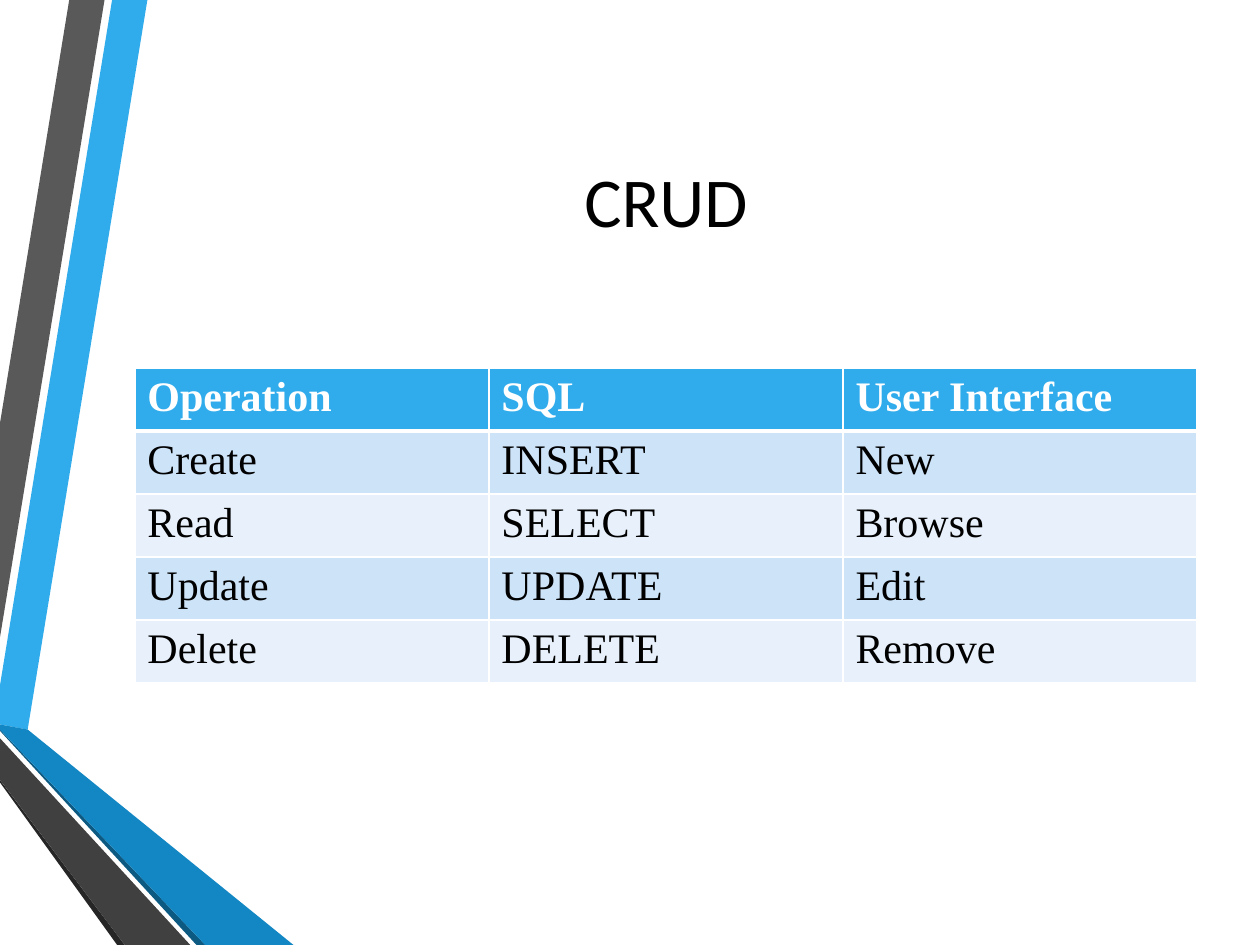
import pptx
import pptx.util
import pptx.dml.color
import pptx.enum.text
import pptx.oxml.ns
import lxml.etree

Inches = pptx.util.Inches
Pt = pptx.util.Pt

COLORS = {
    "white": "FFFFFF", "black": "000000", "sky": "30ACEC", "gray": "595959",
    "charcoal": "262626", "navy": "0C5A82", "blue": "1287C3", "slate": "404040",
    "band_dark": "CDE3F8", "band_light": "E8F1FB",
}

RIBBONS = [
    ("sky", [(0, 5.44), (0, 5.75), (0.22, 5.79), (1.17, 0), (0.89, 0)]),
    ("gray", [(0.83, 0), (0.55, 0), (0, 3.36), (0, 5.06)]),
    ("charcoal", [(0, 6.19), (0, 6.21), (0.93, 7.5), (0.99, 7.5)]),
    ("navy", [(0, 5.79), (0, 5.8), (1.56, 7.5), (1.63, 7.5)]),
    ("blue", [(0, 5.79), (1.63, 7.5), (2.33, 7.5), (0.22, 5.79), (0, 5.75)]),
    ("slate", [(0, 6.19), (0.99, 7.5), (1.51, 7.5), (0, 5.86)]),
]

OPERATIONS = [
    ("Operation", "SQL", "User Interface"),
    ("Create", "INSERT", "New"),
    ("Read", "SELECT", "Browse"),
    ("Update", "UPDATE", "Edit"),
    ("Delete", "DELETE", "Remove"),
]


class SlideBuilder:
    """Hold the slide style and draw each kind of element."""

    def __init__(self, slide, title_font, table_font):
        self.slide = slide
        self.title_font = title_font
        self.table_font = table_font

    def color(self, name):
        return pptx.dml.color.RGBColor.from_string(COLORS[name])

    def fill(self, target, name):
        target.fill.solid()
        target.fill.fore_color.rgb = self.color(name)

    def run(self, paragraph, text, font, size, color, bold=False):
        run = paragraph.add_run()
        run.text = text
        run.font.name = font
        run.font.size = Pt(size)
        run.font.bold = bold
        run.font.color.rgb = self.color(color)

    def ribbon(self, color, points):
        start, *rest = [(Inches(x), Inches(y)) for x, y in points]
        builder = self.slide.shapes.build_freeform(*start)
        builder.add_line_segments(rest, close=True)
        ribbon = builder.convert_to_shape()
        ribbon.shadow.inherit = False
        self.fill(ribbon, color)
        ribbon.line.fill.background()

    def title(self, text, left, top, width, height):
        box = self.slide.shapes.add_textbox(
            Inches(left), Inches(top), Inches(width), Inches(height))
        frame = box.text_frame
        frame.word_wrap = True
        frame.vertical_anchor = pptx.enum.text.MSO_ANCHOR.MIDDLE
        paragraph = frame.paragraphs[0]
        paragraph.alignment = pptx.enum.text.PP_ALIGN.CENTER
        self.run(paragraph, text, self.title_font, 40, "black")

    def borders(self, cell, **widths):
        properties = cell._tc.get_or_add_tcPr()
        qn = pptx.oxml.ns.qn
        for side in "LRTB":
            line = lxml.etree.SubElement(
                properties, qn(f"a:ln{side}"), w=str(Pt(widths.get(side, 1))))
            solid = lxml.etree.SubElement(line, qn("a:solidFill"))
            lxml.etree.SubElement(solid, qn("a:srgbClr"), val=COLORS["white"])

    def table(self, rows, left, top, width, height):
        table = self.slide.shapes.add_table(
            len(rows), len(rows[0]), Inches(left), Inches(top),
            Inches(width), Inches(height)).table
        for r, row in enumerate(rows):
            header = r == 0
            band = "sky" if header else "band_dark" if r % 2 else "band_light"
            for c, text in enumerate(row):
                cell = table.cell(r, c)
                self.borders(cell, T=3 if r == 1 else 1, B=3 if header else 1)
                self.fill(cell, band)
                self.run(cell.text_frame.paragraphs[0], text, self.table_font,
                         24, "white" if header else "black", header)


def main():
    deck = pptx.Presentation()
    deck.slide_width = Inches(10)
    deck.slide_height = Inches(7.5)
    slide = deck.slides.add_slide(deck.slide_layouts[6])
    builder = SlideBuilder(slide, "Calibri", "Times New Roman")
    builder.fill(slide.background, "white")
    for color, points in RIBBONS:
        builder.ribbon(color, points)
    builder.title("CRUD", 1.07, 0.5, 8.43, 2.17)
    builder.table(OPERATIONS, 1.07, 2.92, 8.43, 2.03)
    deck.save("out.pptx")


if __name__ == "__main__":
    main()
